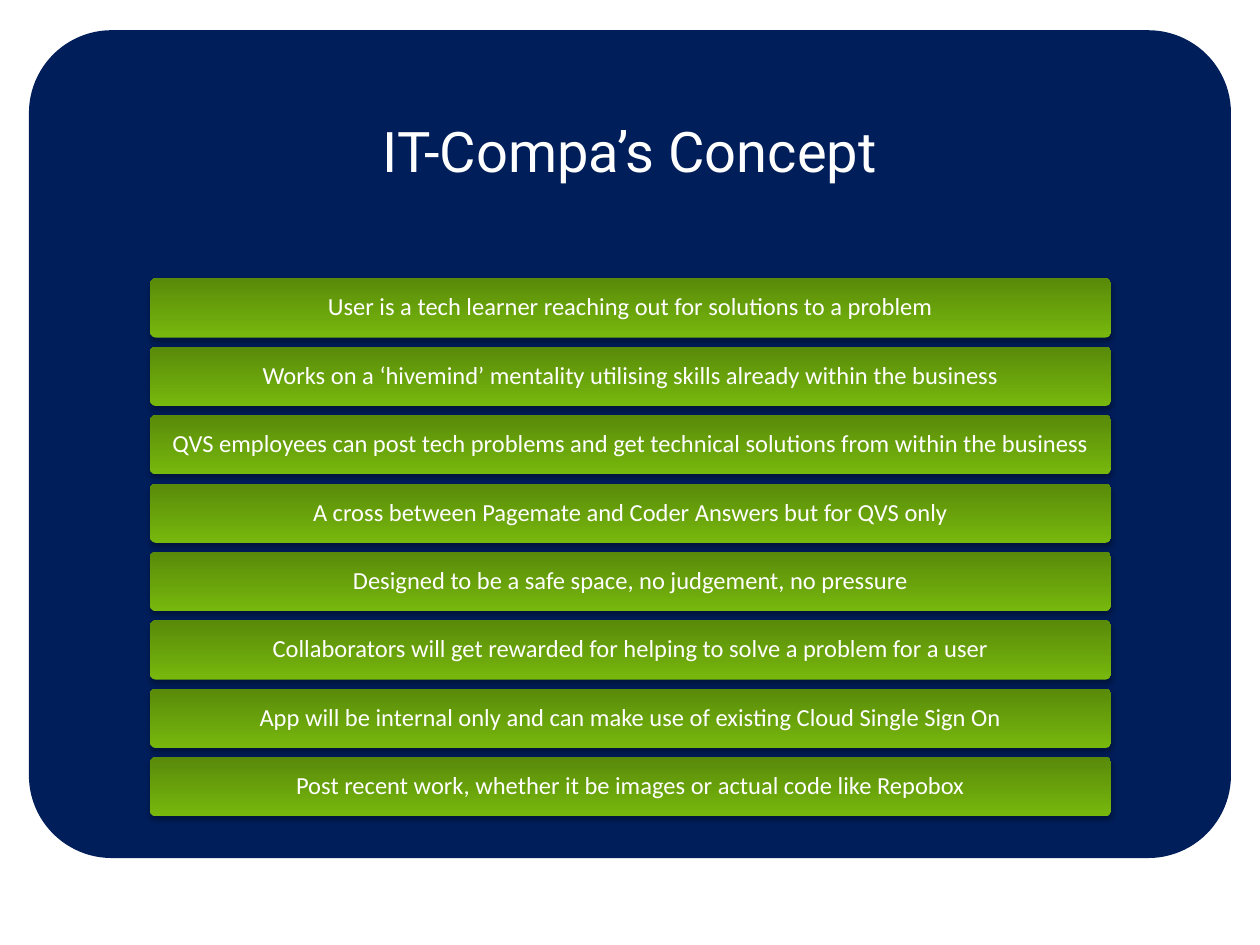
from lxml import etree
from pptx import Presentation
from pptx.dml.color import RGBColor
from pptx.enum.shapes import MSO_SHAPE as Shape
from pptx.enum.text import MSO_ANCHOR as Anchor, MSO_AUTO_SIZE as AutoSize, PP_ALIGN as Align
from pptx.oxml.ns import qn
from pptx.util import Inches, Pt

TITLE = "IT-Compa’s Concept"
CONCEPTS = [
    "User is a tech learner reaching out for solutions to a problem",
    "Works on a ‘hivemind’ mentality utilising skills already within the business",
    "QVS employees can post tech problems and get technical solutions from within the business",
    "A cross between Pagemate and Coder Answers but for QVS only",
    "Designed to be a safe space, no judgement, no pressure",
    "Collaborators will get rewarded for helping to solve a problem for a user",
    "App will be internal only and can make use of existing Cloud Single Sign On",
    "Post recent work, whether it be images or actual code like Repobox",
]

NAVY, WHITE = "001E5A", "FFFFFF"
LIGHT_GREEN, DARK_GREEN = "77B80D", "598A0A"
PANEL_LEFT, PANEL_TOP, PANEL_WIDTH, PANEL_HEIGHT = 0.23, 0.24, 9.54, 6.57
TITLE_HEIGHT = 1.97
BAR_LEFT, BAR_WIDTH, BAR_HEIGHT = 1.19, 7.63, 0.47
FIRST_BAR_TOP, LAST_BAR_TOP = 2.21, 6.01


def color(hex_code):
    return RGBColor.from_string(hex_code)


def write_text(shape, text, font_name, size, inset_x, inset_y):
    frame = shape.text_frame
    frame.text = text
    frame.word_wrap = True
    frame.auto_size = AutoSize.NONE
    frame.vertical_anchor = Anchor.MIDDLE
    frame.margin_left = frame.margin_right = Inches(inset_x)
    frame.margin_top = frame.margin_bottom = Inches(inset_y)
    line = frame.paragraphs[0]
    line.alignment = Align.CENTER
    line.line_spacing = 0.9
    line.font.name = font_name
    line.font.size = Pt(size)
    line.font.color.rgb = color(WHITE)


def add_rounded(slide, left, top, width, height):
    box = slide.shapes.add_shape(Shape.ROUNDED_RECTANGLE, Inches(left), Inches(top),
                                 Inches(width), Inches(height))
    box.adjustments[0] = 0.1
    box.line.fill.background()
    box.shadow.inherit = False
    return box


def add_drop_shadow(shape):
    effects = shape.element.spPr.find(qn("a:effectLst"))
    shadow = etree.SubElement(effects, qn("a:outerShdw"), blurRad=str(Pt(3.1)),
                              dist=str(Pt(1.8)), dir="5400000", rotWithShape="0")
    black = etree.SubElement(shadow, qn("a:srgbClr"), val="000000")
    etree.SubElement(black, qn("a:alpha"), val="35000")


def add_panel(slide):
    panel = add_rounded(slide, PANEL_LEFT, PANEL_TOP, PANEL_WIDTH, PANEL_HEIGHT)
    panel.fill.solid()
    panel.fill.fore_color.rgb = color(NAVY)
    # The title sits on the panel
    slide.shapes.title.element.addprevious(panel.element)


def place_title(slide):
    title = slide.shapes.title
    title.left, title.top = Inches(PANEL_LEFT), Inches(PANEL_TOP)
    title.width, title.height = Inches(PANEL_WIDTH), Inches(TITLE_HEIGHT)
    write_text(title, TITLE, "Roboto", 32, 0.13, 0.13)


def add_concept_bar(slide, top, concept):
    bar = add_rounded(slide, BAR_LEFT, top, BAR_WIDTH, BAR_HEIGHT)
    bar.fill.gradient()
    bar.fill.gradient_angle = 90
    for stop, position, shade in zip(bar.fill.gradient_stops, (0, 1), (LIGHT_GREEN, DARK_GREEN)):
        stop.position = position
        stop.color.rgb = color(shade)
    add_drop_shadow(bar)
    write_text(bar, concept, "Calibri", 14, 0.05, 0.04)


def main():
    prs = Presentation()
    prs.slide_width, prs.slide_height = Inches(10), Inches(7.5)
    slide = prs.slides.add_slide(prs.slide_layouts[5])

    # Panel and heading
    add_panel(slide)
    place_title(slide)

    # Evenly spaced concept bars
    pitch = (LAST_BAR_TOP - FIRST_BAR_TOP) / (len(CONCEPTS) - 1)
    for row, concept in enumerate(CONCEPTS):
        add_concept_bar(slide, FIRST_BAR_TOP + row * pitch, concept)

    prs.save("out.pptx")


if __name__ == "__main__":
    main()
